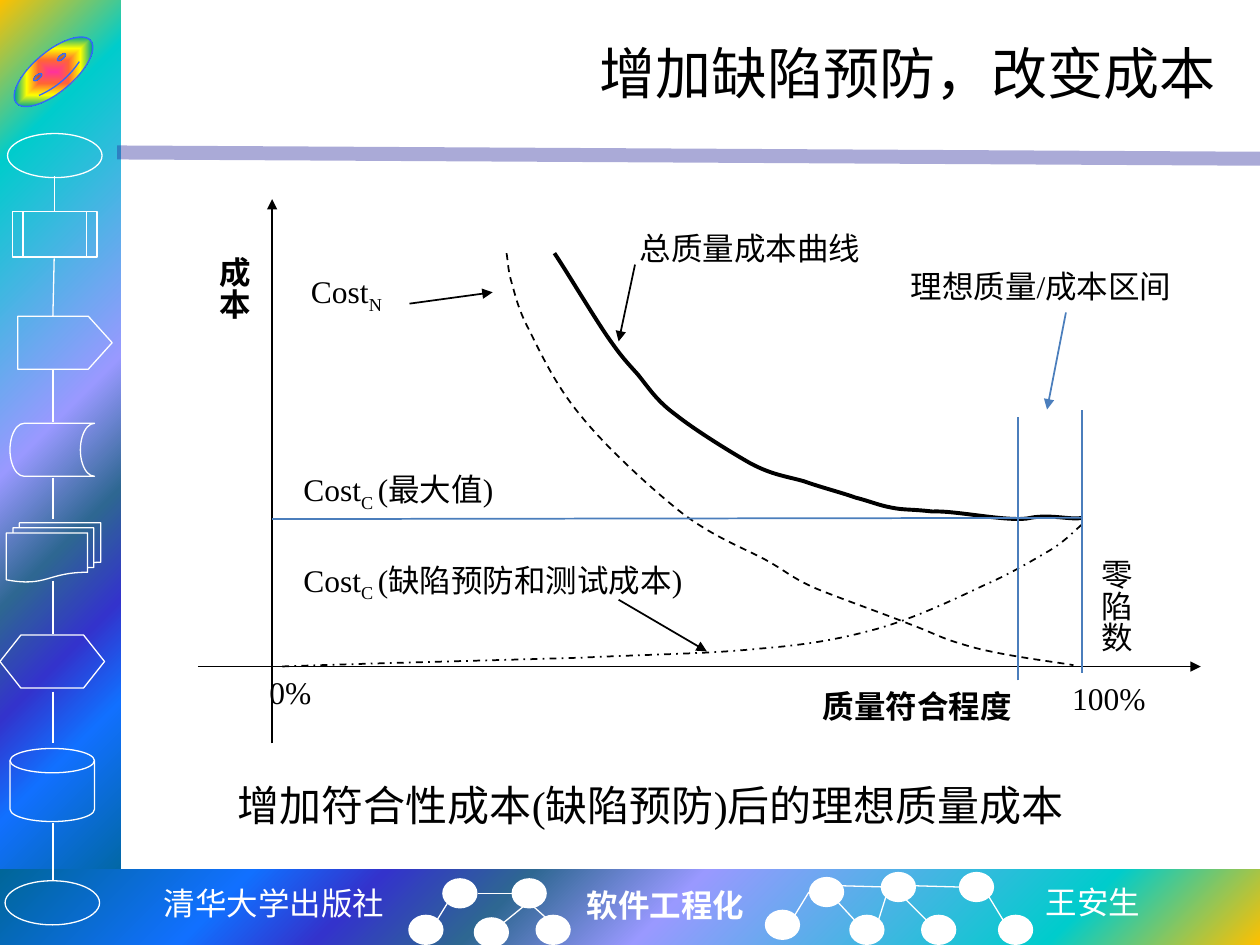
import pptx
import pptx.util
import pptx.dml.color
import pptx.enum.dml
import pptx.enum.shapes
import pptx.enum.text
import pptx.oxml
import pptx.oxml.ns
import lxml.etree

PX = 9144
BLACK = pptx.dml.color.RGBColor(0x00, 0x00, 0x00)
WHITE = pptx.dml.color.RGBColor(0xFF, 0xFF, 0xFF)
BLUE = pptx.dml.color.RGBColor(0x4B, 0x7E, 0xBC)
NAVY = pptx.dml.color.RGBColor(0x26, 0x26, 0x99)
ROYAL = pptx.dml.color.RGBColor(0x33, 0x66, 0xFF)
SHAPE = pptx.enum.shapes.MSO_SHAPE
DASH = pptx.enum.dml.MSO_LINE
ALIGN = pptx.enum.text.PP_ALIGN
qn = pptx.oxml.ns.qn

prs = pptx.Presentation()
prs.slide_width = 1000 * PX
prs.slide_height = 750 * PX
s = prs.slides.add_slide(prs.slide_layouts[6])


def add_line(x1, y1, x2, y2, color=WHITE, width=0.75, arrow=False):
    line = s.shapes.add_connector(
        pptx.enum.shapes.MSO_CONNECTOR.STRAIGHT, x1 * PX, y1 * PX, x2 * PX, y2 * PX)
    line.line.color.rgb = color
    line.line.width = pptx.util.Pt(width)
    if arrow:
        lxml.etree.SubElement(line.line._get_or_add_ln(), qn("a:tailEnd"), type="triangle")
    lxml.etree.SubElement(line._element.spPr, qn("a:effectLst"))
    return line


def add_text(x, y, w, h, text, size=18, color=BLACK, font="Times New Roman",
             bold=False, align=ALIGN.JUSTIFY, wrap=True, indent=0, vertical=False):
    tb = s.shapes.add_textbox(x * PX, y * PX, w * PX, h * PX)
    tf = tb.text_frame
    tf.word_wrap = wrap
    if vertical:
        tf._txBody.bodyPr.set("vert", "eaVert")
    p = tf.paragraphs[0]
    p.alignment = align
    if indent:
        p._p.get_or_add_pPr().set("indent", str(indent * PX))
    for i, part in enumerate(text.split("|")):
        r = p.add_run()
        r.text = part
        r.font.size = pptx.util.Pt(size)
        r.font.bold = bold
        r.font.color.rgb = color
        r.font.name = font
        rPr = r._r.get_or_add_rPr()
        lxml.etree.SubElement(rPr, qn("a:ea"), typeface="Noto Sans CJK SC")
        if i == 1:
            rPr.set("baseline", "-25000")
    return tf


BAR_STOPS = [(0, "FFC000"), (16, "00CCCC"), (47, "9999FF"), (60, "2E6792"),
             (71, "3333CC"), (81, "1170FF"), (100, "006699")]
BADGE_STOPS = [(0, "FF3399"), (25, "FF6633"), (50, "FFFF00"), (75, "01A78F"), (100, "3366FF")]
for kind, box, stops, mode, focus, rotation in [
    (SHAPE.RECTANGLE, (0, 0, 96, 709), BAR_STOPS, "circle", (0, 0, 100, 100), 0),
    (SHAPE.RECTANGLE, (0, 690, 1000, 60), BAR_STOPS, "circle", (100, 100, 0, 0), 0),
    (SHAPE.SMILEY_FACE, (4, 41, 77, 32), BADGE_STOPS, "shape", (50, 50, 50, 50), -40),
]:
    sp = s.shapes.add_shape(kind, *[v * PX for v in box])
    sp.shadow.inherit = False
    sp.rotation = rotation
    sp.line.fill.background()
    if kind == SHAPE.SMILEY_FACE:
        sp.adjustments[0] = 0.05
        sp.line.color.rgb = ROYAL
        sp.line.width = pptx.util.Pt(0.75)
    grad = lxml.etree.Element(qn("a:gradFill"), rotWithShape="1")
    gs_list = lxml.etree.SubElement(grad, qn("a:gsLst"))
    for pos, rgb in stops:
        gs = lxml.etree.SubElement(gs_list, qn("a:gs"), pos=str(pos * 1000))
        lxml.etree.SubElement(gs, qn("a:srgbClr"), val=rgb)
    shade = lxml.etree.SubElement(grad, qn("a:path"), path=mode)
    lxml.etree.SubElement(shade, qn("a:fillToRect"),
                          {side: str(v * 1000) for side, v in zip("ltrb", focus)})
    sp._element.spPr.find(qn("a:prstGeom")).addnext(grad)

rule = add_line(93, 121, 1000, 126, NAVY, 8)
rgb = rule._element.spPr.find(".//" + qn("a:srgbClr"))
lxml.etree.SubElement(rgb, qn("a:alpha"), val="39000")

for kind, x, y, w, h in [
    (SHAPE.OVAL, 6, 106, 75, 35),
    (SHAPE.FLOWCHART_PREDEFINED_PROCESS, 10, 168, 67, 36),
    (SHAPE.PENTAGON, 14, 251, 75, 42),
    (SHAPE.FLOWCHART_STORED_DATA, 8, 336, 67, 42),
    (SHAPE.FLOWCHART_MULTIDOCUMENT, 5, 415, 75, 47),
    (SHAPE.FLOWCHART_PREPARATION, 0, 504, 83, 42),
    (SHAPE.FLOWCHART_MAGNETIC_DISK, 8, 594, 67, 58),
    (SHAPE.OVAL, 4, 699, 75, 35),
]:
    sp = s.shapes.add_shape(kind, x * PX, y * PX, w * PX, h * PX)
    if kind == SHAPE.FLOWCHART_STORED_DATA:
        sp._element.spPr.find(qn("a:prstGeom")).set("prst", "flowChartOnlineStorage")
    if kind == SHAPE.PENTAGON:
        sp.adjustments[0] = 0.45
    sp.shadow.inherit = False
    sp.fill.background()
    sp.line.color.rgb = WHITE
    sp.line.width = pptx.util.Pt(0.75)

for ends in [
    (43, 140, 43, 168), (43, 205, 42, 251), (42, 293, 42, 335), (42, 379, 42, 412),
    (42, 461, 42, 503), (42, 549, 42, 590), (42, 653, 42, 699),
    (347, 730, 355, 717), (400, 732, 416, 719), (406, 709, 379, 709), (434, 729, 424, 720),
    (678, 730, 665, 716), (735, 730, 715, 710), (796, 730, 785, 712), (697, 731, 703, 712),
    (726, 703, 761, 704), (631, 726, 642, 708), (668, 703, 703, 704),
]:
    add_line(*ends)

for x, y in [(351, 697), (406, 697), (324, 726), (376, 728), (425, 726), (642, 696),
             (699, 692), (761, 692), (607, 722), (674, 726), (731, 726), (792, 726)]:
    sp = s.shapes.add_shape(SHAPE.OVAL, x * PX, y * PX, 28 * PX, 24 * PX)
    sp.shadow.inherit = False
    sp.fill.solid()
    sp.fill.fore_color.rgb = WHITE
    sp.line.fill.background()

add_text(119, 697, 197, 40, "清华大学出版社", color=WHITE, font="DejaVu Sans Mono",
         align=ALIGN.CENTER, wrap=False)
add_text(456, 698, 146, 40, "软件工程化", color=WHITE, bold=True, align=ALIGN.LEFT, wrap=False)
add_text(820, 696, 96, 40, "王安生", color=WHITE, font="Noto Sans CJK SC",
         align=ALIGN.LEFT, wrap=False)

tf = add_text(125, 17, 850, 81, "增加缺陷预防，改变成本", size=32, align=ALIGN.RIGHT)
tf.vertical_anchor = pptx.enum.text.MSO_ANCHOR.MIDDLE

add_line(216, 590, 216, 158, BLACK, 1, True)
add_line(157, 529, 953, 529, BLACK, 1, True)

failure_cost = [
    (402, 201), (403, 205), (403, 214), (406, 224), (409, 234), (411, 245), (420, 262),
    (429, 280), (441, 306), (461, 330), (481, 355), (517, 388), (541, 407),
    (566, 426), (590, 435), (607, 444), (625, 454), (626, 457), (645, 466),
    (664, 474), (701, 487), (721, 495), (740, 502), (748, 507), (763, 511),
    (789, 520), (843, 526), (852, 528)]
prevention_cost = [
    (224, 529), (310, 526), (399, 524), (462, 522), (525, 519), (562, 519), (601, 515),
    (639, 512), (663, 508), (693, 500), (723, 492), (757, 476), (780, 465),
    (803, 455), (819, 445), (833, 437), (846, 429), (852, 422), (859, 416)]
total_cost = [
    (440, 201), (447, 211), (471, 251), (482, 267), (493, 283), (497, 287), (506, 297),
    (515, 308), (521, 318), (536, 329), (551, 341), (580, 359), (596, 368),
    (613, 377), (624, 378), (638, 382), (652, 387), (668, 391), (679, 395),
    (691, 398), (697, 401), (708, 403), (718, 405), (722, 404), (740, 406),
    (758, 405), (803, 415), (818, 411), (834, 408), (851, 413), (859, 411)]
for points, width, dash in [(failure_cost, 1, DASH.DASH), (prevention_cost, 1, DASH.DASH_DOT),
                            (total_cost, 2.25, DASH.SOLID)]:
    builder = s.shapes.build_freeform(*points[0], scale=PX)
    builder.add_line_segments(points[1:], close=False)
    sp = builder.convert_to_shape()
    sp.shadow.inherit = False
    sp.fill.background()
    sp.line.color.rgb = BLACK
    sp.line.width = pptx.util.Pt(width)
    sp.line.dash_style = dash
    outline = sp._element.spPr.find(".//" + qn("a:path"))
    segments = outline.findall(qn("a:lnTo"))
    for i in range(0, len(segments), 3):
        curve = lxml.etree.SubElement(outline, qn("a:cubicBezTo"))
        for segment in segments[i:i + 3]:
            curve.append(segment[0])
            outline.remove(segment)

for ends in [(491, 476, 561, 517), (325, 241, 391, 232), (504, 210, 491, 271)]:
    add_line(*ends, BLACK, 1, True)
for ends in [(216, 412, 859, 411), (859, 534, 859, 325), (808, 540, 808, 331)]:
    add_line(*ends, BLUE, 1)
add_line(846, 248, 831, 325, BLUE, 1, True)

add_text(237, 211, 93, 62, "Cost|N")
add_text(498, 177, 205, 48, "总质量成本曲线")
add_text(231, 440, 330, 62, "Cost|C |(缺陷预防和测试成本)")
add_text(231, 368, 190, 62, "Cost|C |(最大值)")
add_text(146, 194, 60, 103, "成本", bold=True, vertical=True)
add_text(845, 434, 61, 147, "零陷数", vertical=True)
add_text(204, 529, 94, 62, "0%")
add_text(625, 540, 239, 62, "质量符合程度", bold=True, indent=18)
add_text(792, 534, 127, 42, "100%", align=ALIGN.RIGHT, indent=18)
add_text(713, 207, 240, 67, "理想质量/成本区间")
add_text(179, 614, 717, 50, "增加符合性成本(缺陷预防)后的理想质量成本", size=24, align=ALIGN.LEFT)

prs.save("out.pptx")
